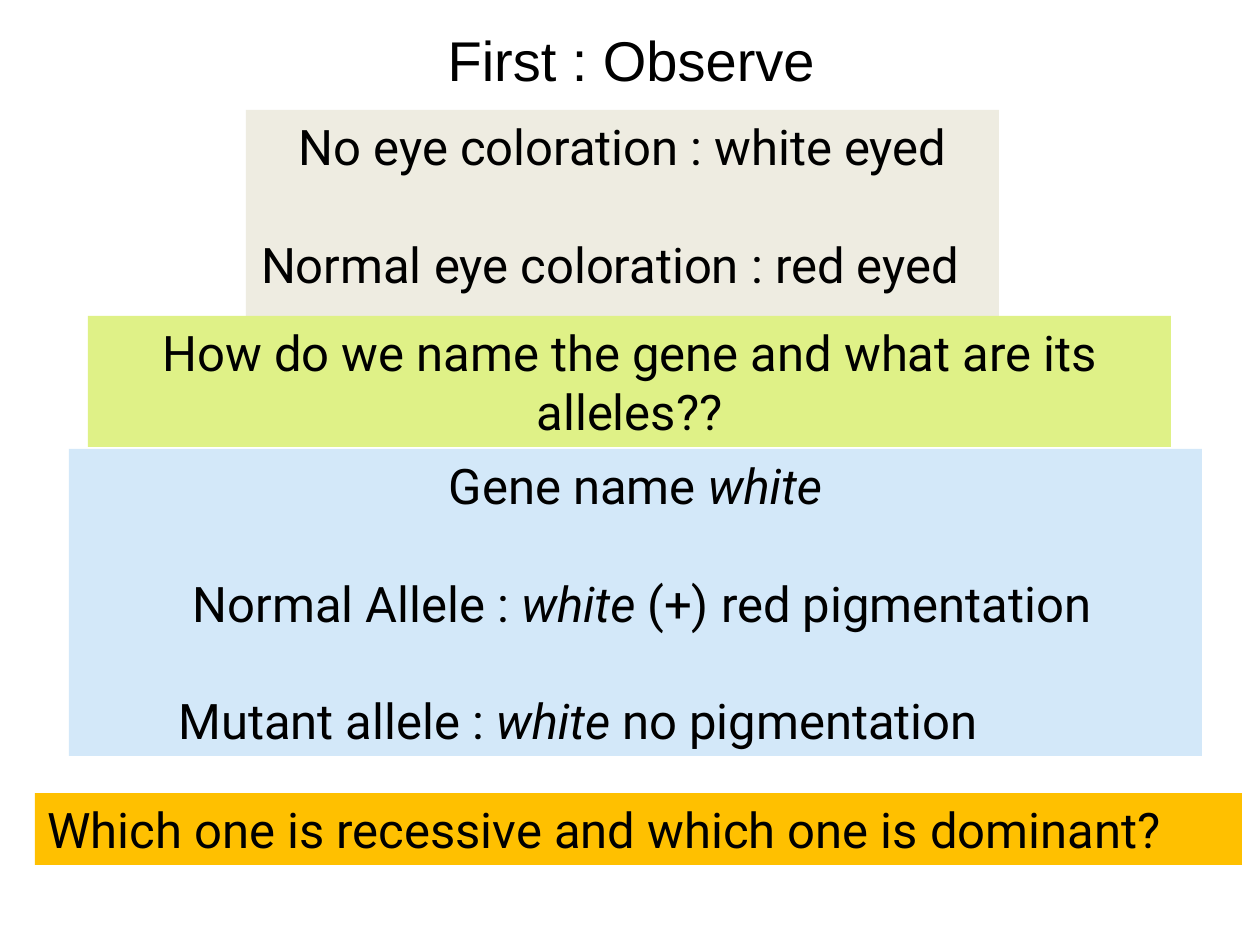
from pptx import Presentation
from pptx.dml.color import RGBColor
from pptx.enum.shapes import MSO_SHAPE as Shape
from pptx.enum.text import MSO_ANCHOR as Anchor, PP_ALIGN as Align
from pptx.util import Emu, Pt

PX_PER_INCH = 126
LINE_GAP = 59
BLACK = "000000"
TITLE_FONT = {"name": "Arial", "size": Pt(32)}
BODY_FONT = {"name": "Roboto", "size": Pt(28)}


def px(length):
    return Emu(round(length * 914400 / PX_PER_INCH))


def color(hex_value):
    return RGBColor.from_string(hex_value)


def place(shape, box):
    for name, length in zip(("left", "top", "width", "height"), box):
        setattr(shape, name, px(length))


def format_font(font, values):
    for name, value in values.items():
        setattr(font, name, value)
    font.color.rgb = color(BLACK)


def add_title(slide, box, text):
    title = slide.shapes.title
    place(title, box)
    frame = title.text_frame
    frame.word_wrap = False
    frame.vertical_anchor = Anchor.MIDDLE
    paragraph = frame.paragraphs[0]
    paragraph.alignment = Align.LEFT
    run = paragraph.add_run()
    run.text = text
    format_font(run.font, TITLE_FONT)


def add_panel(slide, box, fill, lines, wrap=True):
    """Each line is (alignment, left margin, right margin, runs); odd runs are italic."""
    panel = slide.shapes.add_shape(Shape.RECTANGLE, *map(px, box))
    panel.shadow.inherit = False
    panel.fill.solid()
    panel.fill.fore_color.rgb = color(fill)
    panel.line.fill.background()
    frame = panel.text_frame
    frame.word_wrap = wrap
    frame.vertical_anchor = Anchor.TOP
    for index, (alignment, left, right, runs) in enumerate(lines):
        paragraph = frame.add_paragraph() if index else frame.paragraphs[0]
        paragraph.alignment = alignment
        if index:
            paragraph.space_before = px(LINE_GAP)
        properties = paragraph._p.get_or_add_pPr()
        for name, margin in (("marL", left), ("marR", right)):
            properties.set(name, str(px(margin)))
        for position, text in enumerate(runs):
            run = paragraph.add_run()
            run.text = text
            format_font(run.font, BODY_FONT | {"italic": position % 2 == 1})


def main():
    presentation = Presentation()
    presentation.slide_width, presentation.slide_height = px(1260), px(945)
    slide = presentation.slides.add_slide(presentation.slide_layouts[5])

    add_title(slide, (435, 19, 393, 81), "First : Observe")
    add_panel(slide, (246, 110, 753, 248), "EEECE1", [
        (Align.CENTER, 0, 0, ["No eye coloration : white eyed"]),
        (Align.CENTER, 0, 25, ["Normal eye coloration : red eyed"]),
    ])
    add_panel(slide, (88, 316, 1083, 131), "DFF187", [
        (Align.CENTER, 0, 0, ["How do we name the gene and what are its alleles??"]),
    ])
    add_panel(slide, (69, 449, 1133, 307), "D3E8F9", [
        (Align.CENTER, 0, 0, ["Gene name ", "white"]),
        (Align.CENTER, 13, 0, ["Normal Allele : ", "white ", "(+) red pigmentation"]),
        (Align.LEFT, 97, 0, ["Mutant allele : ", "white ", "no pigmentation"]),
    ])
    add_panel(slide, (35, 793, 1207, 72), "FFC000", [
        (Align.LEFT, 0, 0, ["Which one is recessive and which one is dominant?"]),
    ])

    presentation.save("out.pptx")


if __name__ == "__main__":
    main()
